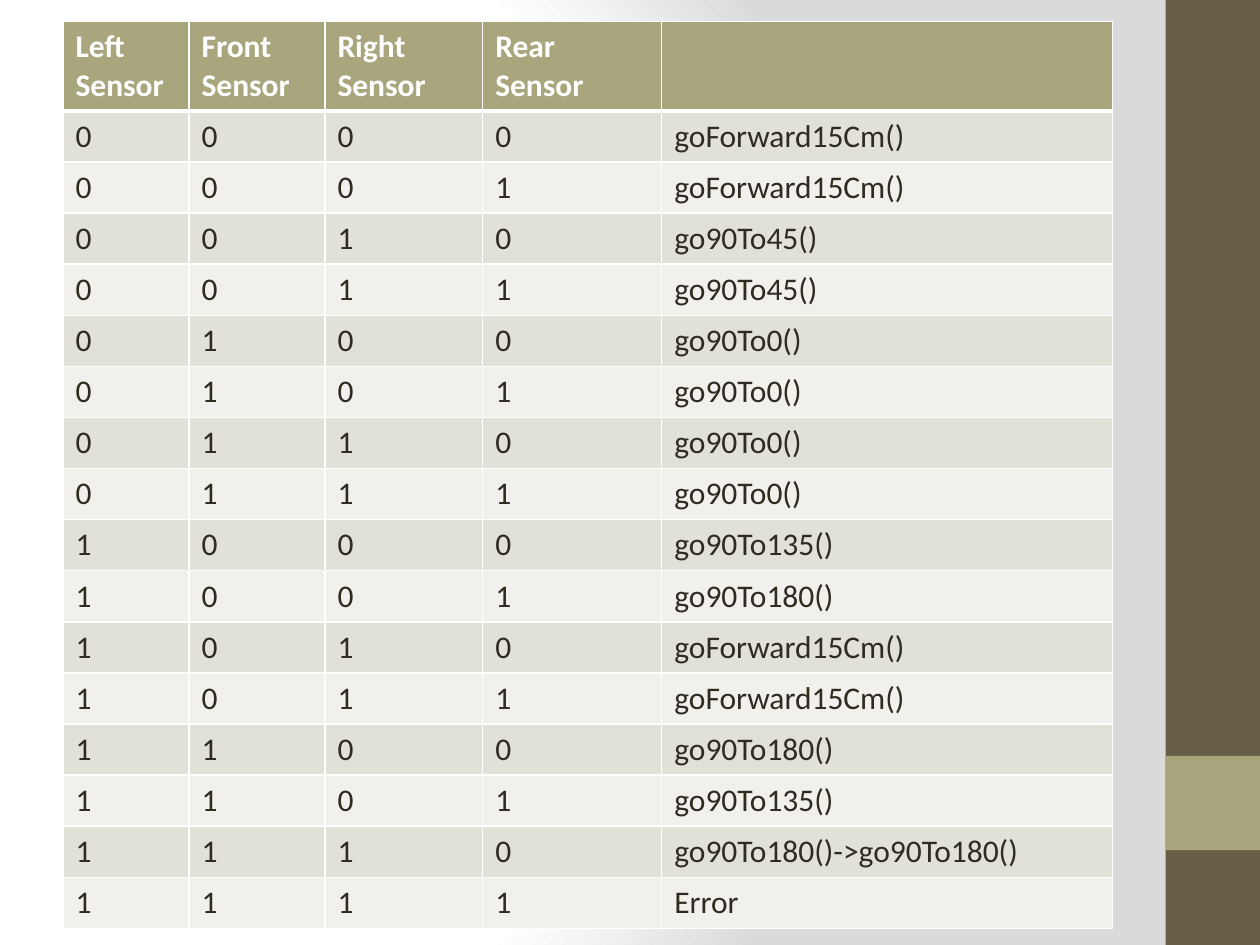
from lxml import etree
from pptx import Presentation
from pptx.dml.color import RGBColor
from pptx.enum.shapes import MSO_SHAPE
from pptx.oxml import parse_xml
from pptx.oxml.ns import qn
from pptx.util import Cm, Pt

RECTANGLE = MSO_SHAPE.RECTANGLE
WHITE = RGBColor(0xFF, 0xFF, 0xFF)
GREY = RGBColor(0xDA, 0xDA, 0xDA)
BROWN = RGBColor(0x67, 0x5E, 0x47)
OLIVE = RGBColor(0xA9, 0xA5, 0x7C)
DARK = RGBColor(0x2F, 0x2B, 0x20)
BANDS = (RGBColor(0xE2, 0xE1, 0xD7), RGBColor(0xF1, 0xF0, 0xEC))
NAMESPACE = "http://schemas.openxmlformats.org/drawingml/2006/main"

SIDEBAR_LEFT, SIDEBAR_WIDTH = 23.5, 1.9
SLIDE_WIDTH, SLIDE_HEIGHT = 25.4, 19.05
COLUMN_WIDTHS = (2.54, 2.74, 3.18, 3.61, 9.09)
HEADER_HEIGHT, ROW_HEIGHT = 1.75, 1.03
HEADER = ("Left Sensor", "Front Sensor", "Right Sensor", "Rear Sensor", "")
ACTIONS = (
    "goForward15Cm()",
    "goForward15Cm()",
    "go90To45()",
    "go90To45()",
    "go90To0()",
    "go90To0()",
    "go90To0()",
    "go90To0()",
    "go90To135()",
    "go90To180()",
    "goForward15Cm()",
    "goForward15Cm()",
    "go90To180()",
    "go90To135()",
    "go90To180()->go90To180()",
    "Error",
)


class SlideBuilder:
    base_font = {"name": "Calibri", "size": Pt(18)}
    header_font = {"bold": True}

    def __init__(self, slide):
        self.slide = slide

    def background(self, stops):
        self.slide.background.fill.gradient()
        gradient = self.slide.element.xpath(".//p:bg//a:gradFill")[0]
        stop_xml = "".join(
            f'<a:gs pos="{position * 1000}"><a:srgbClr val="{color}"/></a:gs>'
            for position, color in stops
        )
        radial = parse_xml(
            f'<a:gradFill xmlns:a="{NAMESPACE}" rotWithShape="1">'
            f"<a:gsLst>{stop_xml}</a:gsLst>"
            '<a:path path="circle">'
            '<a:fillToRect l="20000" t="50000" r="100000" b="50000"/>'
            "</a:path></a:gradFill>"
        )
        gradient.getparent().replace(gradient, radial)

    def rectangle(self, left, top, width, height, color):
        shape = self.slide.shapes.add_shape(
            RECTANGLE, Cm(left), Cm(top), Cm(width), Cm(height)
        )
        shape.shadow.inherit = False
        shape.fill.solid()
        shape.fill.fore_color.rgb = color
        shape.line.fill.background()

    def borders(self, cell, widths):
        properties = cell._tc.get_or_add_tcPr()
        for index, (side, width) in enumerate(widths.items()):
            line = etree.Element(qn(f"a:ln{side}"), w=str(Pt(width)))
            fill = etree.SubElement(line, qn("a:solidFill"))
            etree.SubElement(fill, qn("a:srgbClr"), val=str(WHITE))
            properties.insert(index, line)

    def cell(self, cell, text, fill, color, font_values, widths):
        cell.text = text
        cell.fill.solid()
        cell.fill.fore_color.rgb = fill
        font = cell.text_frame.paragraphs[0].font
        for name, value in {**self.base_font, **font_values}.items():
            setattr(font, name, value)
        font.color.rgb = color
        self.borders(cell, widths)

    def table(self, left, top, rows):
        height = HEADER_HEIGHT + ROW_HEIGHT * (len(rows) - 1)
        table = self.slide.shapes.add_table(
            len(rows), len(COLUMN_WIDTHS),
            Cm(left), Cm(top), Cm(sum(COLUMN_WIDTHS)), Cm(height),
        ).table
        for column, width in zip(table.columns, COLUMN_WIDTHS):
            column.width = Cm(width)
        for index, values in enumerate(rows):
            is_header = index == 0
            table.rows[index].height = Cm(HEADER_HEIGHT if is_header else ROW_HEIGHT)
            fill = OLIVE if is_header else BANDS[(index - 1) % 2]
            color = WHITE if is_header else DARK
            font_values = self.header_font if is_header else {"bold": False}
            widths = {
                "L": 1,
                "R": 1,
                "T": 3 if index == 1 else 1,
                "B": 3 if is_header else 1,
            }
            for cell, text in zip(table.rows[index].cells, values):
                self.cell(cell, text, fill, color, font_values, widths)


def main():
    presentation = Presentation()
    presentation.slide_width = Cm(SLIDE_WIDTH)
    presentation.slide_height = Cm(SLIDE_HEIGHT)
    blank_layout = presentation.slide_layouts[6]
    builder = SlideBuilder(presentation.slides.add_slide(blank_layout))

    builder.background(((0, WHITE), (75, WHITE), (100, GREY)))
    builder.rectangle(SIDEBAR_LEFT, 0, SIDEBAR_WIDTH, SLIDE_HEIGHT, BROWN)
    builder.rectangle(SIDEBAR_LEFT, 15.24, SIDEBAR_WIDTH, SIDEBAR_WIDTH, OLIVE)

    sensor_rows = [
        (*format(state, "04b"), action) for state, action in enumerate(ACTIONS)
    ]
    builder.table(1.27, 0.43, [HEADER, *sensor_rows])
    presentation.save("out.pptx")


if __name__ == "__main__":
    main()
